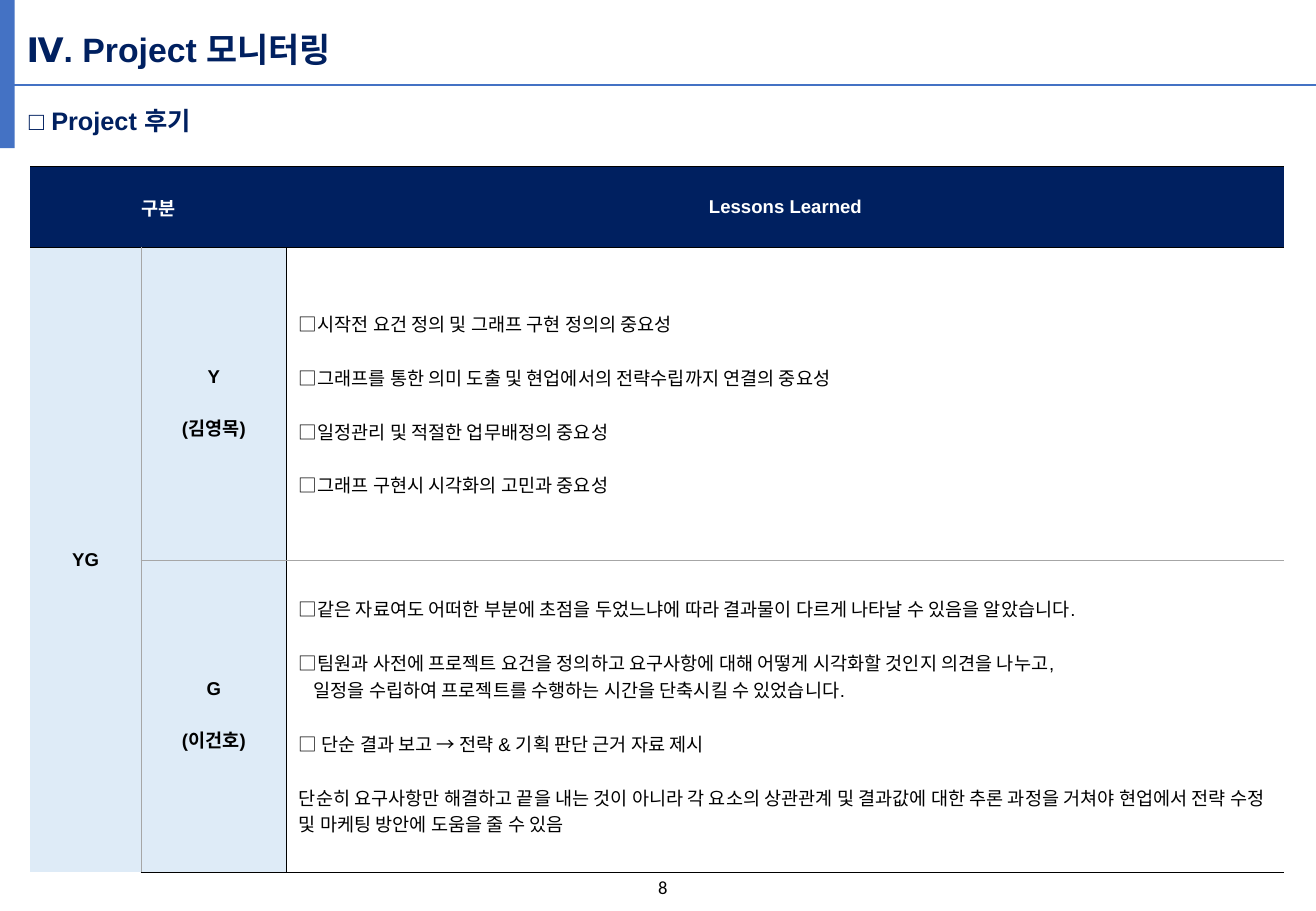
from lxml import etree
from pptx import Presentation
from pptx import util as u
from pptx.dml.color import RGBColor
from pptx.enum import shapes, text
from pptx.oxml import ns

COLORS = {
    "accent": "4472C4",
    "navy": "002060",
    "pale": "DEEBF7",
    "black": "000000",
    "gray": "A6A6A6",
    "white": "FFFFFF",
}
BLACK_LINE = ("black", 0.5)
GRAY_LINE = ("gray", 0.5)
COLUMNS = [0.91, 1.2, 8.21]
ROWS = [0.67, 2.57, 2.57]
ENTRY_GAP = 16

Y_LESSONS = [
    "□시작전 요건 정의 및 그래프 구현 정의의 중요성",
    "□그래프를 통한 의미 도출 및 현업에서의 전략수립까지 연결의 중요성",
    "□일정관리 및 적절한 업무배정의 중요성",
    "□그래프 구현시 시각화의 고민과 중요성",
]
G_LESSONS = [
    "□같은 자료여도 어떠한 부분에 초점을 두었느냐에 따라 결과물이 다르게 나타날 수 있음을 알았습니다.",
    "□팀원과 사전에 프로젝트 요건을 정의하고 요구사항에 대해 어떻게 시각화할 것인지 의견을 나누고,",
    "일정을 수립하여 프로젝트를 수행하는 시간을 단축시킬 수 있었습니다.",
    "□ 단순 결과 보고 → 전략 & 기획 판단 근거 자료 제시",
    "단순히 요구사항만 해결하고 끝을 내는 것이 아니라 각 요소의 상관관계 및 결과값에 대한 추론 과정을 "
    "거쳐야 현업에서 전략 수정 및 마케팅 방안에 도움을 줄 수 있음",
]
CONTINUED_LINE = 2


def rgb(name):
    return RGBColor.from_string(COLORS[name])


def set_borders(cell, borders):
    """Draw the left, right, top and bottom borders; None hides one."""
    properties = cell._tc.get_or_add_tcPr()
    for position, (side, border) in enumerate(zip("LRTB", borders)):
        line = etree.Element(ns.qn(f"a:ln{side}"))
        if border:
            color, width = border
            line.set("w", str(u.Pt(width)))
            fill = etree.SubElement(line, ns.qn("a:solidFill"))
            etree.SubElement(fill, ns.qn("a:srgbClr"), val=COLORS[color])
        else:
            etree.SubElement(line, ns.qn("a:noFill"))
        properties.insert(position, line)


class ReviewSlide:
    def __init__(self, slide, font="Arial"):
        self.slide = slide
        self.font = font

    def fill_text(self, frame, lines, size, color, bold=False, align=None, gap=0, font=None):
        for number, line in enumerate(lines):
            paragraph = frame.paragraphs[0] if number == 0 else frame.add_paragraph()
            paragraph.text = line
            paragraph.alignment = align or text.PP_ALIGN.LEFT
            paragraph.space_before = u.Pt(gap if number else 0)
            paragraph.font.name = font or self.font
            paragraph.font.size = u.Pt(size)
            paragraph.font.bold = bold
            paragraph.font.color.rgb = rgb(color)

    def label(self, box, line, size, color, **style):
        frame = self.slide.shapes.add_textbox(*map(u.Inches, box)).text_frame
        frame.word_wrap = True
        frame.vertical_anchor = text.MSO_ANCHOR.MIDDLE
        self.fill_text(frame, [line], size, color, **style)

    def bar(self, box, color):
        bar = self.slide.shapes.add_shape(
            shapes.MSO_SHAPE.RECTANGLE, *map(u.Inches, box))
        bar.shadow.inherit = False
        bar.fill.solid()
        bar.fill.fore_color.rgb = rgb(color)
        bar.line.fill.background()

    def rule(self, start, end, color, width):
        rule = self.slide.shapes.add_connector(
            shapes.MSO_CONNECTOR.STRAIGHT, *map(u.Inches, start + end))
        rule.line.color.rgb = rgb(color)
        rule.line.width = u.Pt(width)
        etree.SubElement(rule._element.spPr, ns.qn("a:effectLst"))

    def grid(self, left, top):
        """Add the empty table with its sizes, fills and borders."""
        table = self.slide.shapes.add_table(
            len(ROWS), len(COLUMNS), u.Inches(left), u.Inches(top),
            u.Inches(sum(COLUMNS)), u.Inches(sum(ROWS))).table
        table.first_row = table.horz_banding = False
        for column, width in zip(table.columns, COLUMNS):
            column.width = u.Inches(width)
        for row, height in zip(table.rows, ROWS):
            row.height = u.Inches(height)

        levels = [("black", 1), BLACK_LINE, GRAY_LINE, BLACK_LINE]
        uprights = [None, GRAY_LINE, BLACK_LINE, None]
        for r in range(len(ROWS)):
            for c in range(len(COLUMNS)):
                cell = table.cell(r, c)
                cell.vertical_anchor = text.MSO_ANCHOR.MIDDLE
                if r == 0 or c < 2:
                    cell.fill.solid()
                    cell.fill.fore_color.rgb = rgb("pale" if r else "navy")
                else:
                    cell.fill.background()
                sides = [None if r == 0 and x == 1 else uprights[x] for x in (c, c + 1)]
                edges = [None if c == 0 and y == 2 else levels[y] for y in (r, r + 1)]
                set_borders(cell, sides + edges)
        table.cell(0, 0).merge(table.cell(0, 1))
        table.cell(1, 0).merge(table.cell(2, 0))
        return table

    def lessons_table(self, left, top):
        table = self.grid(left, top)
        headings = {
            (0, 0): ["구분"],
            (0, 2): ["Lessons Learned"],
            (1, 0): ["YG"],
            (1, 1): ["Y", "(김영목)"],
            (2, 1): ["G", "(이건호)"],
        }
        for (r, c), lines in headings.items():
            self.fill_text(table.cell(r, c).text_frame, lines, 11, "black" if r else "white",
                           bold=True, align=text.PP_ALIGN.CENTER, gap=ENTRY_GAP)
        for r, lessons in enumerate([Y_LESSONS, G_LESSONS], start=1):
            self.fill_text(table.cell(r, 2).text_frame, lessons, 11, "black", gap=ENTRY_GAP)
        continued = table.cell(2, 2).text_frame.paragraphs[CONTINUED_LINE]
        continued.space_before = u.Pt(0)
        continued._p.get_or_add_pPr().set("marL", str(u.Inches(0.12)))


def main():
    deck = Presentation()
    deck.slide_width, deck.slide_height = u.Inches(10.83), u.Inches(7.5)
    review = ReviewSlide(deck.slides.add_slide(deck.slide_layouts[6]))
    review.rule((0.03, 0.7), (10.83, 0.7), "accent", 1.5)
    review.bar((0, 0, 0.12, 1.22), "accent")
    review.label((0.12, 0.18, 8.22, 0.44), "Ⅳ. Project 모니터링", 20, "navy", bold=True)
    review.label((0.14, 0.82, 8.22, 0.35), "□ Project 후기", 15, "navy", bold=True)
    review.label((4.33, 7.18, 2.25, 0.24), "8", 11, "black",
                 align=text.PP_ALIGN.CENTER, font="Calibri")
    review.lessons_table(0.25, 1.37)
    deck.save("out.pptx")


if __name__ == "__main__":
    main()
